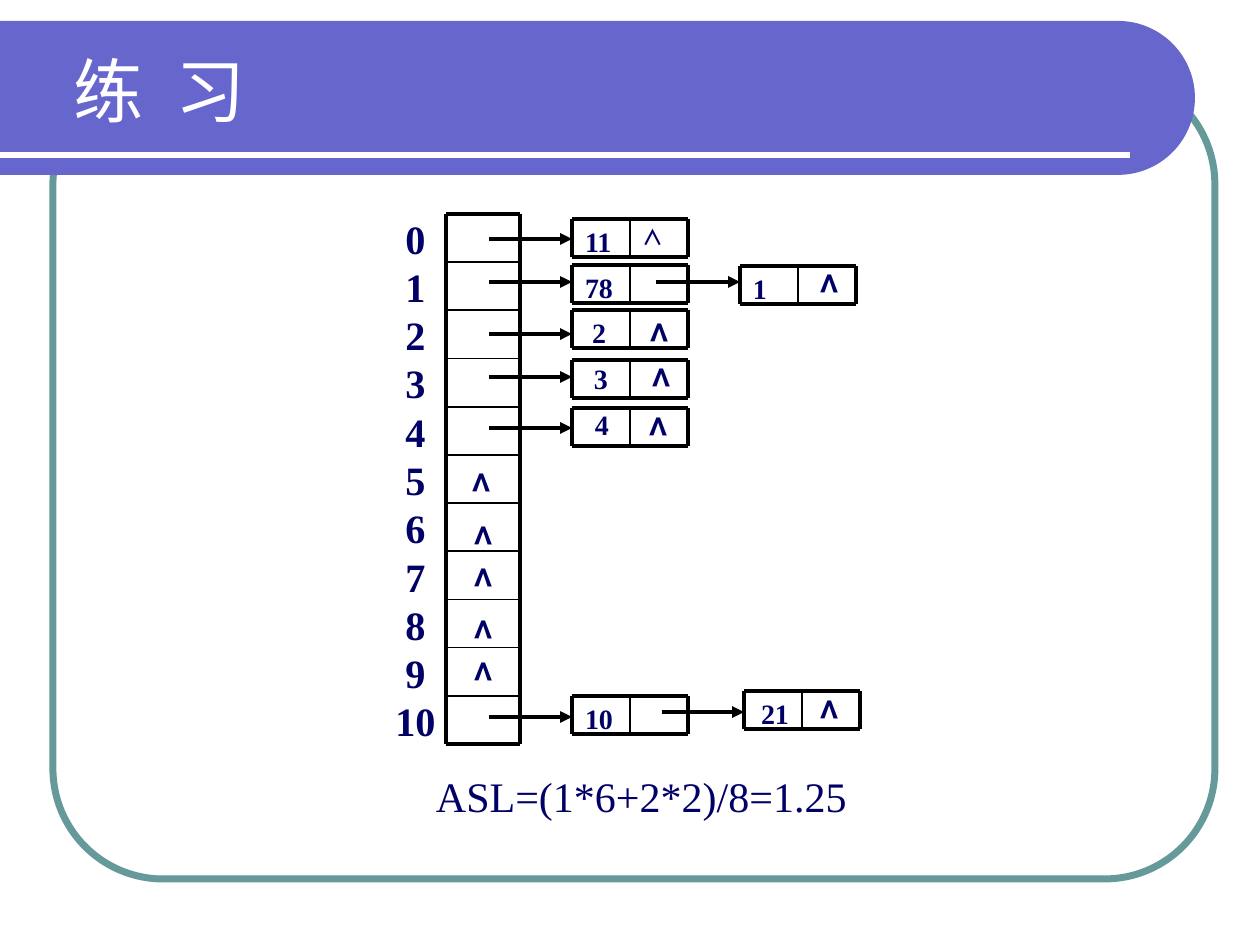
import math

import pptx
import pptx.dml.color
import pptx.enum.shapes
import pptx.enum.text
import pptx.oxml
import pptx.oxml.ns
import pptx.util

NAVY = pptx.dml.color.RGBColor(0x00, 0x00, 0x66)
BLACK = pptx.dml.color.RGBColor(0x00, 0x00, 0x00)
WHITE = pptx.dml.color.RGBColor(0xFF, 0xFF, 0xFF)
PURPLE = pptx.dml.color.RGBColor(0x66, 0x66, 0xCC)
TEAL = pptx.dml.color.RGBColor(0x66, 0x99, 0x99)
SERIF, SANS = "Times New Roman", "Noto Sans CJK SC"

TITLE = "练 习"
RESULT = "ASL=(1*6+2*2)/8=1.25"
BUCKETS = [str(i) for i in range(11)]
# left, top, key, key offset (x, y), centre of the end mark
NODES = [
    (572, 219, "11", (0, 0), None),
    (572, 265, "78", (0, 0), None),
    (572, 310, "2", (7, 0), (661, 327)),
    (572, 360, "3", (9, -4), (663, 372)),
    (572, 408, "4", (10, -6), (660, 421)),
    (572, 696, "10", (0, 0), None),
    (740, 266, "1", (0, 0), (831, 278)),
    (744, 691, "21", (4, 0), (831, 704)),
]
# start x, end x, y
ARROWS = [(489, 572, y) for y in (239, 282, 334, 377, 428, 717)]
ARROWS += [(656, 740, 282), (662, 744, 712)]
EMPTY_BUCKET_MARKS = [(483, 477), (485, 530), (485, 572), (485, 624), (485, 666)]

TABLE_LEFT, TABLE_RIGHT, TABLE_TOP, TABLE_BOTTOM = 446, 520, 214, 744
CELL_W, CELL_H = 58, 38
MARK_W, MARK_H = 35, 54
THICK, THIN = 2.25, 1

SCALE = 914400 / 126
prs = pptx.Presentation()
prs.slide_width, prs.slide_height = pptx.util.Inches(10), pptx.util.Inches(7.5)
s = prs.slides.add_slide(prs.slide_layouts[6])


def px(n):
    return pptx.util.Emu(round(n * SCALE))


def add_line(x1, y1, x2, y2, width=THICK, color=BLACK, arrow=False):
    c = s.shapes.add_connector(
        pptx.enum.shapes.MSO_CONNECTOR.STRAIGHT, px(x1), px(y1), px(x2), px(y2))
    c.line.color.rgb = color
    c.line.width = pptx.util.Pt(width)
    if arrow:
        ln = c.line._get_or_add_ln()
        ln.append(pptx.oxml.parse_xml(
            f'<a:tailEnd {pptx.oxml.ns.nsdecls("a")} type="triangle"/>'))
    c._element.spPr.append(
        pptx.oxml.parse_xml(f'<a:effectLst {pptx.oxml.ns.nsdecls("a")}/>'))


def add_text(box, lines, size, font=SERIF, color=NAVY, bold=False, align=None,
             left=13, right=13, top=6, bottom=6, wrap=True):
    sp = s.shapes.add_textbox(*map(px, box))
    tf = sp.text_frame
    tf.word_wrap = wrap
    tf.margin_left, tf.margin_right = px(left), px(right)
    tf.margin_top, tf.margin_bottom = px(top), px(bottom)
    tf.text = "\n".join(lines)
    for p in tf.paragraphs:
        p.alignment = align
        p.font.size = pptx.util.Pt(size)
        p.font.name = font
        p.font.bold = bold
        p.font.color.rgb = color
    return sp


def add_mark(cx, cy):
    """Draw the null pointer sign: a less-than sign turned to point up."""
    sp = add_text((cx - MARK_W / 2, cy - MARK_H / 2, MARK_W, MARK_H), ["<"], 20,
                  font=SANS, bold=True, top=0, bottom=0, right=0)
    sp.text_frame.vertical_anchor = pptx.enum.text.MSO_ANCHOR.MIDDLE
    sp.rotation = 90.5


def add_node(x, y, key, offset, mark):
    dx, dy = offset
    add_text((x + dx, y + dy, CELL_W, CELL_H), [key], 16, bold=True)
    right, bottom = x + 2 * CELL_W, y + CELL_H
    for line_y in (y, bottom):
        add_line(x, line_y, right, line_y)
    for line_x, width in ((x, THICK), (x + CELL_W, THIN), (right, THICK)):
        add_line(line_x, y, line_x, bottom, width)
    if mark:
        add_mark(*mark)


def add_frame():
    sp = s.shapes.add_shape(pptx.enum.shapes.MSO_SHAPE.ROUNDED_RECTANGLE,
                            px(53), px(74), px(1162), px(805))
    sp.adjustments[0] = 0.137
    sp.shadow.inherit = False
    sp.fill.background()
    sp.line.color.rgb = TEAL
    sp.line.width = pptx.util.Pt(4)


def add_banner():
    """Draw the title band, whose right end is a half circle."""
    cx, cy, radius = 1118, 98, 77
    angles = [math.radians(a) for a in range(-90, 91, 3)]
    arc = [(cx + radius * math.cos(a), cy + radius * math.sin(a)) for a in angles]
    fb = s.shapes.build_freeform(0, px(cy - radius))
    fb.add_line_segments([(px(x), px(y)) for x, y in arc + [(0, cy + radius)]])
    sp = fb.convert_to_shape()
    sp.shadow.inherit = False
    sp.fill.solid()
    sp.fill.fore_color.rgb = PURPLE
    sp.line.fill.background()
    add_line(0, 155, 1130, 155, 3, WHITE)


add_frame()
add_banner()
title = add_text((60, 27, 1105, 126), [TITLE], 40, color=WHITE)
title.text_frame.vertical_anchor = pptx.enum.text.MSO_ANCHOR.MIDDLE
title.text_frame.paragraphs[0].runs[0]._r.get_or_add_rPr().set("spc", "500")

rows = len(BUCKETS)
for i in range(rows + 1):
    y = TABLE_TOP + (TABLE_BOTTOM - TABLE_TOP) * i / rows
    add_line(TABLE_LEFT, y, TABLE_RIGHT, y, THICK if i in (0, rows) else THIN)
for x in (TABLE_LEFT, TABLE_RIGHT):
    add_line(x, TABLE_TOP, x, TABLE_BOTTOM)
add_text((383, 208, 65, 544), BUCKETS, 23, bold=True,
         align=pptx.enum.text.PP_ALIGN.CENTER, left=0, right=0)

for node in NODES:
    add_node(*node)
add_text((630, 219, CELL_W, CELL_H), ["∧"], 12, font=SANS, bold=True)
for x1, x2, y in ARROWS:
    add_line(x1, y, x2, y, arrow=True)
for center in EMPTY_BUCKET_MARKS:
    add_mark(*center)
add_text((423, 765, 436, 63), [RESULT], 24, right=0, wrap=False)

prs.save("out.pptx")
